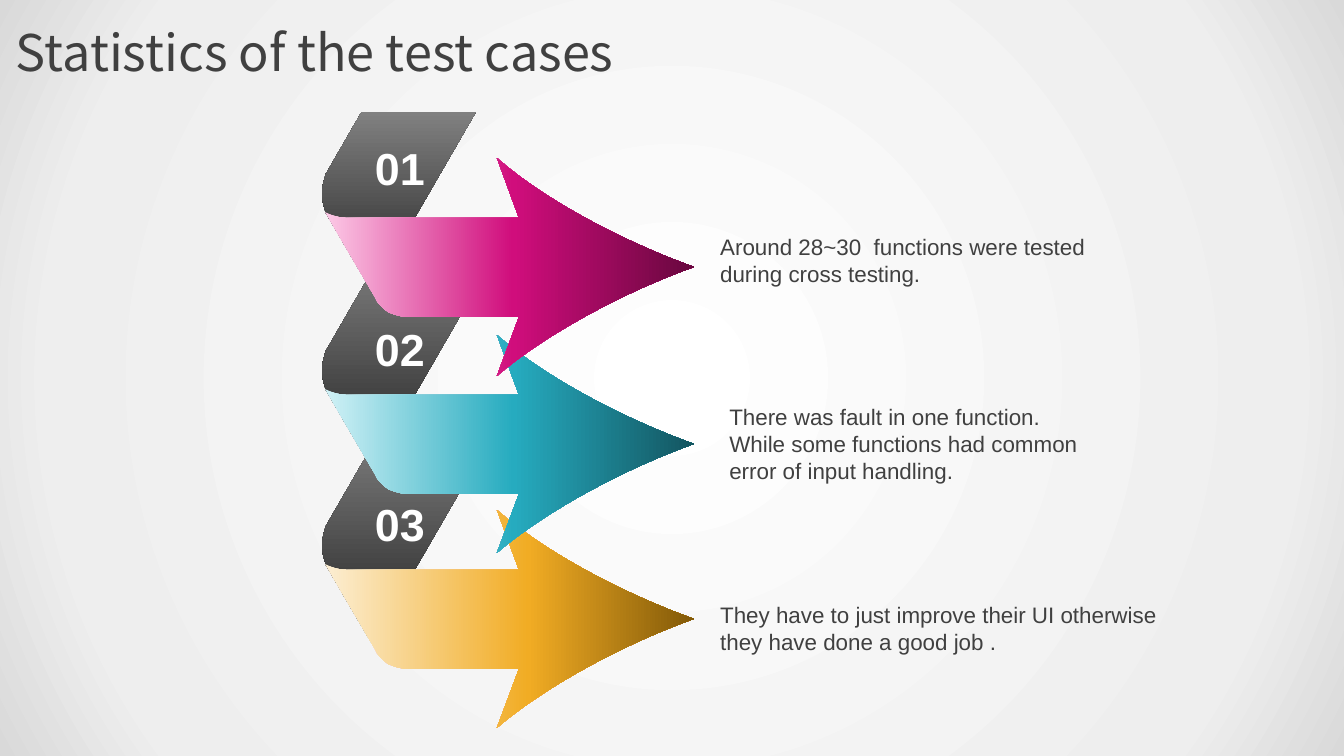
from lxml import etree
from pptx import Presentation
from pptx.dml.color import RGBColor
from pptx.enum.text import MSO_ANCHOR, MSO_AUTO_SIZE, PP_ALIGN
from pptx.oxml.ns import qn
from pptx.util import Pt

LEFT, CENTER = PP_ALIGN.LEFT, PP_ALIGN.CENTER
MIDDLE = MSO_ANCHOR.MIDDLE
NO_AUTOFIT = MSO_AUTO_SIZE.NONE
PX = 914400 / 134.4
TITLE_ONLY = 5

TITLE = "Statistics of the test cases"
STEPS = [
    {"number": "01", "number_top": 134, "arrow_top": 158, "ribbon_rise": 46,
     "colors": [(0, "FCC9E6"), (51, "D00D7C"), (100, "68073E")],
     "note": ["Around 28~30  functions were tested",
              "during cross testing."],
     "note_box": (707, 227, 396, 67)},
    {"number": "02", "number_top": 315, "arrow_top": 335, "ribbon_rise": 82,
     "colors": [(0, "D0F1F6"), (51, "26ABBF"), (100, "135560")],
     "note": ["There was fault in one function.",
              "While some functions had common",
              "error of input handling."],
     "note_box": (716, 397, 379, 95)},
    {"number": "03", "number_top": 490, "arrow_top": 510, "ribbon_rise": 83,
     "colors": [(0, "FCEED3"), (55, "F1AC24"), (100, "825908")],
     "note": ["They have to just improve their UI otherwise",
              "they have done a good job ."],
     "note_box": (707, 595, 481, 67)},
]
TEXT_COLOR = "404040"
BACKGROUND = [(0, "FFFFFF"), (81, "EEEEEE"), (100, "D9D9D9")]
RIBBON_COLORS = [(0, "000000"), (31, "404040"), (100, "808080")]

ARROW_LEFT = 325
RIBBON_SLOPE = 0.577
ARROW = [
    [(172, 218)], [(194, 159)], [(83, 159)],
    [(77, 159), (70, 157), (63, 154)],
    [(58, 150), (52, 145), (50, 139)],
    [(0, 54)],
    [(0, 54), (9, 60), (23, 60)],
    [(194, 60)], [(172, 0)],
    [(222, 44), (302, 85), (369, 109)],
    [(302, 133), (222, 175), (172, 218)],
]


def px(value):
    return round(value * PX)


def rgb(color):
    return RGBColor.from_string(color)


def paint_gradient(fill, element, stops, angle=None):
    fill.gradient()
    gradient = next(element.iter(qn("a:gradFill")))
    for child in list(gradient):
        gradient.remove(child)
    stop_list = etree.SubElement(gradient, qn("a:gsLst"))
    for position, color in stops:
        stop = etree.SubElement(stop_list, qn("a:gs"), pos=str(position * 1000))
        etree.SubElement(stop, qn("a:srgbClr"), val=color)
    if angle is None:
        circle = etree.SubElement(gradient, qn("a:path"), path="circle")
        etree.SubElement(circle, qn("a:fillToRect"), l="50000", t="50000", r="50000", b="50000")
    else:
        etree.SubElement(gradient, qn("a:lin"), ang=str(angle * 60000), scaled="0")


def ribbon(rise):
    return [
        [(1 + RIBBON_SLOPE * (16 + rise), -rise)], [(1, 16)],
        [(-1, 22), (-3, 29), (-3, 36)],
        [(-3, 42), (-1, 49), (1, 55)],
        [(47, 134)], [(47 + RIBBON_SLOPE * (134 + rise), -rise)],
    ]


def bend_curves(shape, segments):
    lines = iter(list(shape._element.iter(qn("a:lnTo"))))
    for segment in segments[1:]:
        corners = [next(lines) for _ in segment]
        if len(segment) == 3:
            curve = etree.Element(qn("a:cubicBezTo"))
            corners[0].addprevious(curve)
            for corner in corners:
                curve.append(corner[0])
                corner.getparent().remove(corner)


def add_outline(group, segments, top, stops, angle):
    points = [(px(ARROW_LEFT + x), px(top + y)) for segment in segments for x, y in segment]
    builder = group.shapes.build_freeform(*points[0])
    builder.add_line_segments(points[1:], close=True)
    shape = builder.convert_to_shape()
    bend_curves(shape, segments)
    shape.shadow.inherit = False
    shape.line.fill.background()
    paint_gradient(shape.fill, shape._element.spPr, stops, angle)


def format_text(frame, size, font_name, color, align=LEFT, bold=False):
    frame.word_wrap = True
    for paragraph in frame.paragraphs:
        paragraph.alignment = align
        for run in paragraph.runs:
            run.font.size = Pt(size)
            run.font.name = font_name
            run.font.bold = bold
            run.font.color.rgb = rgb(color)


def add_label(slide, box, lines, *style):
    frame = slide.shapes.add_textbox(*map(px, box)).text_frame
    frame.text = "\n".join(lines)
    format_text(frame, *style)


def main():
    deck = Presentation()
    deck.slide_width, deck.slide_height = px(1344), px(756)
    slide = deck.slides.add_slide(deck.slide_layouts[TITLE_ONLY])
    paint_gradient(slide.background.fill, slide._element, BACKGROUND)

    title = slide.shapes.title
    title.left, title.top, title.width, title.height = map(px, (16, 12, 1210, 78))
    frame = title.text_frame
    frame.text = TITLE
    frame.margin_left = frame.margin_right = 0
    frame.vertical_anchor = MIDDLE
    frame.auto_size = NO_AUTOFIT
    format_text(frame, 27, "Noto Sans CJK KR", TEXT_COLOR)

    for step in reversed(STEPS):
        group = slide.shapes.add_group_shape()
        add_outline(group, ribbon(step["ribbon_rise"]), step["arrow_top"], RIBBON_COLORS, 270)
        add_outline(group, ARROW, step["arrow_top"], step["colors"], 0)

    for step in STEPS:
        add_label(slide, step["note_box"], step["note"], 12, "Arial", TEXT_COLOR)
    for step in STEPS:
        add_label(slide, (353, step["number_top"], 94, 67), [step["number"]],
                  24, "Arial", "FFFFFF", CENTER, True)

    deck.save("out.pptx")


if __name__ == "__main__":
    main()
